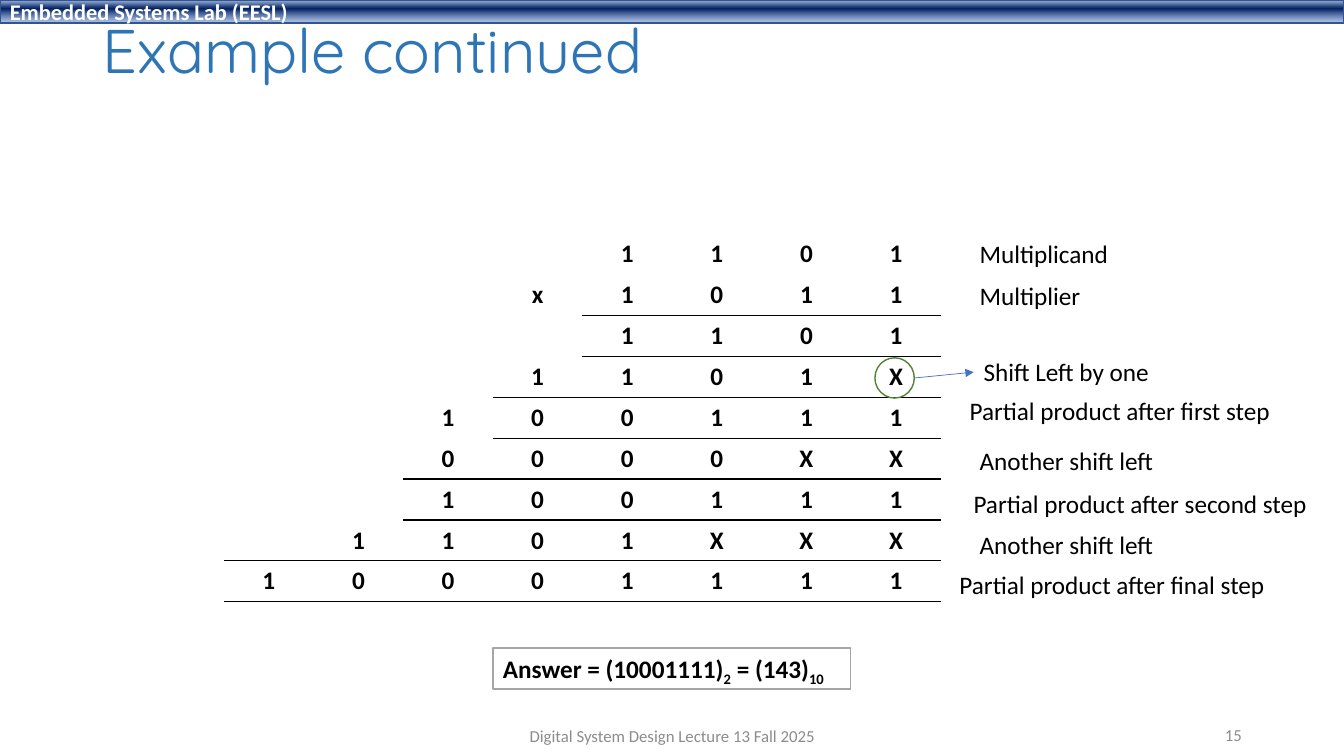
from dataclasses import dataclass

from lxml.etree import SubElement
from pptx import Presentation
from pptx.dml.color import RGBColor
from pptx.enum.shapes import MSO_CONNECTOR as Line, MSO_SHAPE as Shape
from pptx.enum.text import MSO_ANCHOR as Anchor, MSO_AUTO_SIZE as AutoSize, PP_ALIGN as Align
from pptx.oxml import parse_xml
from pptx.oxml.ns import nsdecls, qn
from pptx.util import Inches, Pt


@dataclass(frozen=True)
class Theme:
    body_font: str = "Calibri"
    title_font: str = "Quicksand"
    ink: str = "000000"
    paper: str = "FFFFFF"
    title: str = "2E75B6"
    muted: str = "8C8C8C"
    banner_line: str = "325491"
    answer_line: str = "A5A5A5"
    ring: str = "548235"
    arrow: str = "4472C4"
    # Position %, colour, opacity %
    banner_stops: tuple = ((2, "ABC0E4", 100), (38, "002060", 100), (93, "7E9ED6", 64))
    title_size: int = 44
    body_size: int = 18
    banner_size: int = 16
    footer_size: int = 12


THEME = Theme()
NO_GRID_STYLE = "{2D5ABB26-0587-4C30-8999-92F81FD0307C}"


def write(paragraph, text, size=THEME.body_size, color=THEME.ink, font=THEME.body_font,
          bold=False, align=Align.LEFT, baseline=0):
    """Append one formatted run to a paragraph."""
    paragraph.alignment = align
    run = paragraph.add_run()
    run.text = text
    run.font.size, run.font.name, run.font.bold = Pt(size), font, bold
    run.font.color.rgb = RGBColor.from_string(color)
    if baseline:
        run.font._element.set("baseline", str(baseline * 1000))


class SlideBuilder:
    """Places elements by percentage shares of the slide's width and height."""

    def __init__(self, deck, theme):
        self.deck, self.theme = deck, theme
        self.slide = deck.slides.add_slide(deck.slide_layouts[6])

    def place(self, *shares):
        sides = (self.deck.slide_width, self.deck.slide_height) * 2
        return [round(side * share / 100) for side, share in zip(sides, shares)]

    def text(self, box, text, wrap=True, line_spacing=None, **style):
        label = self.slide.shapes.add_textbox(*self.place(*box))
        frame = label.text_frame
        frame.word_wrap = wrap
        frame.auto_size = AutoSize.NONE if wrap else AutoSize.SHAPE_TO_FIT_TEXT
        frame.vertical_anchor = Anchor.MIDDLE if wrap else Anchor.TOP
        frame.paragraphs[0].line_spacing = line_spacing
        write(frame.paragraphs[0], text, **style)
        return label

    def shape(self, kind, box, line, fill=None):
        shape = self.slide.shapes.add_shape(kind, *self.place(*box))
        shape.shadow.inherit = False
        shape.line.color.rgb = RGBColor.from_string(line)
        shape.line.width = Pt(1)
        if fill:
            shape.fill.solid()
            shape.fill.fore_color.rgb = RGBColor.from_string(fill)
        else:
            shape.fill.background()
        return shape

    def banner(self, box, text):
        banner = self.shape(Shape.RECTANGLE, box, self.theme.banner_line, self.theme.paper)
        stops = "".join(
            f'<a:gs pos="{at * 1000}"><a:srgbClr val="{color}">'
            f'<a:alpha val="{opacity * 1000}"/></a:srgbClr></a:gs>'
            for at, color, opacity in self.theme.banner_stops)
        properties = banner._element.spPr
        properties.replace(properties.find(qn("a:solidFill")), parse_xml(
            f'<a:gradFill {nsdecls("a")} rotWithShape="1"><a:gsLst>{stops}</a:gsLst>'
            '<a:lin ang="5400000" scaled="0"/></a:gradFill>'))
        banner.text_frame.vertical_anchor = Anchor.MIDDLE
        write(banner.text_frame.paragraphs[0], text, size=self.theme.banner_size,
              color=self.theme.paper, bold=True)

    def answer(self, box, pieces):
        answer = self.shape(Shape.RECTANGLE, box, self.theme.answer_line, self.theme.paper)
        frame = answer.text_frame
        frame.word_wrap = False
        frame.auto_size = AutoSize.SHAPE_TO_FIT_TEXT
        frame.vertical_anchor = Anchor.TOP
        for piece, baseline in pieces:
            write(frame.paragraphs[0], piece, bold=True, baseline=baseline)

    def arrow(self, start, target):
        begin = self.place(*start)
        arrow = self.slide.shapes.add_connector(Line.STRAIGHT, *begin, *begin)
        arrow.end_connect(target, 1)
        arrow.line.color.rgb = RGBColor.from_string(self.theme.arrow)
        arrow.line.width = Pt(0.5)
        SubElement(arrow.line._get_or_add_ln(), qn("a:tailEnd"), type="triangle")
        SubElement(arrow._element.spPr, qn("a:effectLst"))

    def border(self, cell, side):
        cell._tc.get_or_add_tcPr().append(parse_xml(
            f'<a:{side} {nsdecls("a")} w="12700"><a:solidFill>'
            f'<a:srgbClr val="{self.theme.ink}"/></a:solidFill></a:{side}>'))

    def digits(self, box, rows, rules):
        """One symbol per cell; rules maps a row to its first underlined column."""
        size = len(rows), len(rows[0])
        frame = self.slide.shapes.add_table(*size, *self.place(*box))
        table = frame.table
        table.first_row = table.horz_banding = False
        table._tbl.tblPr.find(qn("a:tableStyleId")).text = NO_GRID_STYLE
        for r, symbols in enumerate(rows):
            for c, symbol in enumerate(symbols):
                cell = table.cell(r, c)
                for side, ruled_row in (("lnT", r - 1), ("lnB", r)):
                    if c >= rules.get(ruled_row, len(symbols)):
                        self.border(cell, side)
                cell.fill.background()
                if symbol != " ":
                    write(cell.text_frame.paragraphs[0], symbol, bold=True, align=Align.CENTER)


# Long multiplication, right-aligned; column where each rule begins
MULTIPLICATION = [row.rjust(8) for row in (
    "1101", "x1011", "1101", "1101X", "100111", "0000XX", "100111", "1101XXX", "10001111")]
RULES = {1: 4, 3: 3, 5: 2, 7: 0, 8: 0}

# Left, top, width and text of each step's note
NOTES = (
    (72.15, 30.93, 11.18, "Multiplicand"),
    (72.15, 36.4, 9.08, "Multiplier"),
    (71.4, 51.6, 24.15, "Partial product after first step"),
    (72.15, 58.27, 14.63, "Another shift left"),
    (71.7, 63.87, 26.63, "Partial product after second step"),
    (72.15, 69.33, 14.63, "Another shift left"),
    (70.65, 74.67, 24.53, "Partial product after final step"),
)
NOTE_HEIGHT = 5.39


def main():
    deck = Presentation()
    deck.slide_width, deck.slide_height = Inches(13.33), Inches(7.5)
    page = SlideBuilder(deck, THEME)

    # Banner and title
    page.banner((0, 0, 100, 3.07), "Embedded Systems Lab (EESL)")
    page.text((6.88, 2, 86.25, 10.27), "Example continued", line_spacing=0.9,
              size=THEME.title_size, color=THEME.title, font=THEME.title_font)

    # Worked multiplication and its notes
    page.digits((16.67, 30.93, 53.33, 48.53), MULTIPLICATION, RULES)
    for left, top, width, note in NOTES:
        page.text((left, top, width, NOTE_HEIGHT), note, wrap=False)

    # Marked shift
    page.shape(Shape.OVAL, (65.1, 47.33, 2.93, 5.33), THEME.ring)
    shift_note = page.text((72.45, 46.53, 14.03, NOTE_HEIGHT), "Shift Left by one", wrap=False)
    page.arrow((68.03, 50), shift_note)

    # Result
    page.answer((36.68, 85.73, 26.63, NOTE_HEIGHT), (
        ("Answer = (10001111)", 0), ("2", -25), (" = (143)", 0), ("10", -25)))

    # Footer
    footer = {"size": THEME.footer_size, "color": THEME.muted}
    page.text((33.15, 94.67, 33.75, 5.33), "Digital System Design Lecture 13 Fall 2025",
              align=Align.CENTER, **footer)
    page.text((70.65, 94.53, 22.5, 5.33), "15", align=Align.RIGHT, **footer)

    deck.save("out.pptx")


if __name__ == "__main__":
    main()
